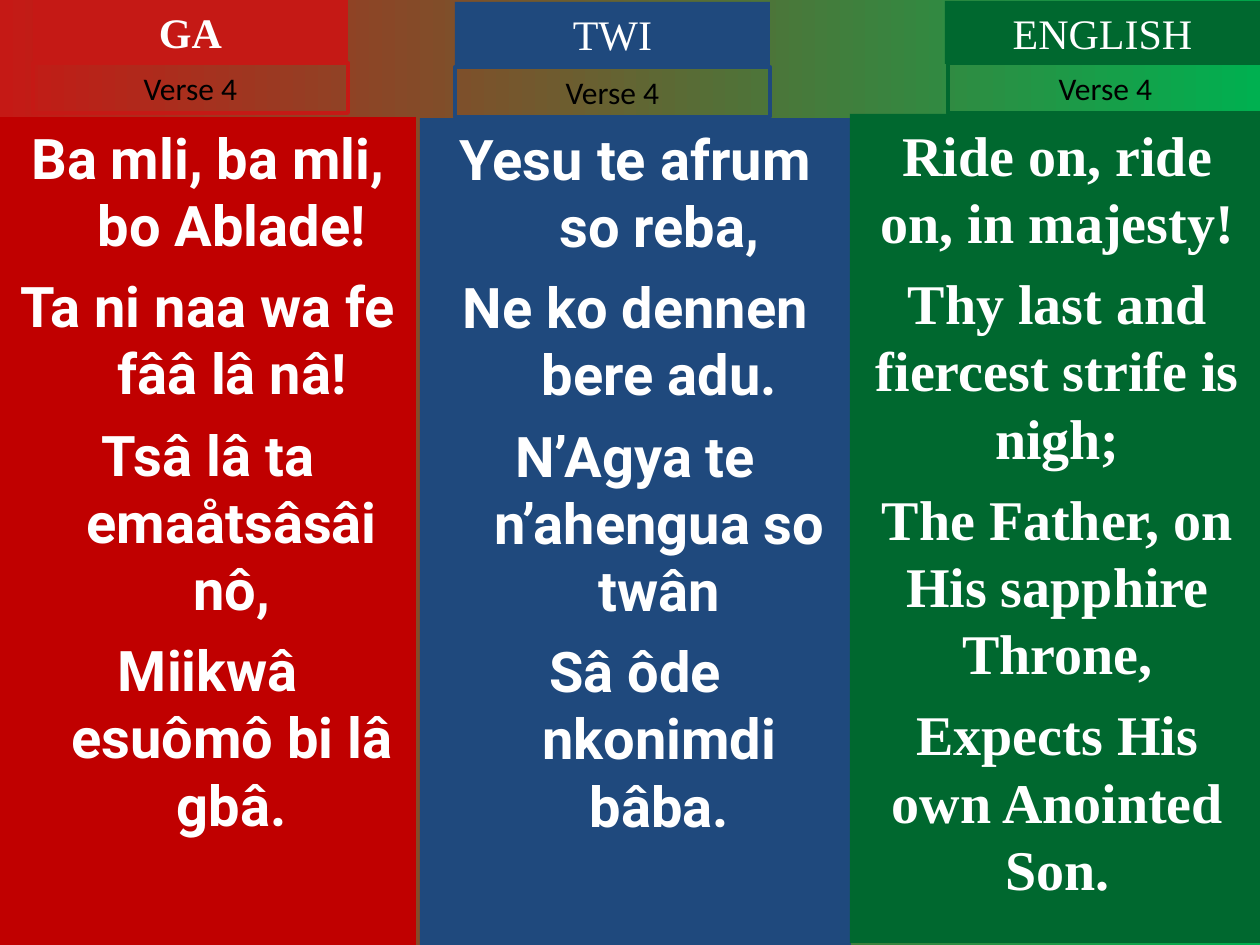
from pptx import Presentation
from pptx.dml.color import RGBColor
from pptx.enum.shapes import MSO_SHAPE
from pptx.enum.text import MSO_ANCHOR, PP_ALIGN
from pptx.util import Pt

RECTANGLE = MSO_SHAPE.RECTANGLE
TOP = MSO_ANCHOR.TOP
CENTER = PP_ALIGN.CENTER

PX = 914400 / 126
HANGING = 48
LABEL_WIDTH = 315

RED = RGBColor(0xC0, 0x00, 0x00)
BRIGHT_RED = RGBColor(0xC5, 0x19, 0x15)
BLUE = RGBColor(0x1F, 0x49, 0x7D)
GREEN = RGBColor(0x00, 0x68, 0x2F)
BRIGHT_GREEN = RGBColor(0x00, 0xB0, 0x50)
WHITE = RGBColor(0xFF, 0xFF, 0xFF)
BLACK = RGBColor(0x00, 0x00, 0x00)

SERIF = "Times New Roman"
SANS = "Roboto"
LABEL_FONT = "Calibri"

GA_LINES = [
    "Ba mli, ba mli, bo Ablade!",
    "Ta ni naa wa fe fââ lâ nâ!",
    "Tsâ lâ ta emaåtsâsâi nô,",
    "Miikwâ esuômô bi lâ gbâ.",
]
TWI_LINES = [
    "Yesu te afrum so reba,",
    "Ne ko dennen bere adu.",
    "N’Agya te n’ahengua so twân",
    "Sâ ôde nkonimdi bâba.",
]
ENGLISH_LINES = [
    "Ride on, ride on, in majesty!",
    "Thy last and fiercest strife is nigh;",
    "The Father, on His sapphire Throne,",
    "Expects His own Anointed Son.",
]


def px(length):
    return round(length * PX)


def paint_background(page):
    fill = page.background.fill
    fill.gradient()
    fill.gradient_angle = 0
    for stop, color in zip(fill.gradient_stops, (BRIGHT_RED, BRIGHT_GREEN)):
        stop.color.rgb = color
    fill.gradient_stops[0].position = 0
    fill.gradient_stops[1].position = 1


def add_box(page, area, fill=None, line=None):
    box = page.shapes.add_shape(RECTANGLE, *map(px, area))
    box.shadow.inherit = False
    if fill is None:
        box.fill.background()
    else:
        box.fill.solid()
        box.fill.fore_color.rgb = fill
    if line is None:
        box.line.fill.background()
    else:
        box.line.color.rgb = line
        box.line.width = Pt(2.25)
    box.text_frame.word_wrap = True
    box.text_frame.vertical_anchor = TOP
    return box


def write_lines(box, lines, font, size, color, bold=False, hanging=0):
    frame = box.text_frame
    for index, line in enumerate(lines):
        para = frame.paragraphs[0] if index == 0 else frame.add_paragraph()
        para.text = line
        para.alignment = CENTER
        if index:
            para.space_before = Pt(8)
        if hanging:
            properties = para._p.get_or_add_pPr()
            properties.set("marL", str(px(hanging)))
            properties.set("indent", str(-px(hanging)))
        para.font.name = font
        para.font.size = Pt(size)
        para.font.bold = bold
        para.font.color.rgb = color


def add_verse(page, area, fill, lines, font, hanging=0):
    box = add_box(page, area, fill=fill)
    write_lines(box, lines, font, 32, WHITE, bold=True, hanging=hanging)


def add_heading(page, left, top, color, language, bold=False):
    box = add_box(page, (left, top, LABEL_WIDTH, 63), fill=color)
    write_lines(box, [language], SERIF, 24, WHITE, bold=bold)


def add_verse_label(page, left, top, color):
    box = add_box(page, (left, top, LABEL_WIDTH, 50), line=color)
    write_lines(box, ["Verse 4"], LABEL_FONT, 18, BLACK)


def main():
    deck = Presentation()
    deck.slide_width, deck.slide_height = px(1260), px(945)
    page = deck.slides.add_slide(deck.slide_layouts[6])
    paint_background(page)

    add_verse(page, (0, 117, 416, 828), RED, GA_LINES, SANS, HANGING)
    add_verse(page, (420, 118, 431, 827), BLUE, TWI_LINES, SANS, HANGING)
    add_heading(page, 33, 0, BRIGHT_RED, "GA", bold=True)
    add_heading(page, 455, 2, BLUE, "TWI")
    add_verse_label(page, 33, 63, BRIGHT_RED)
    add_verse_label(page, 455, 67, BLUE)
    add_verse(page, (850, 114, 415, 829), GREEN, ENGLISH_LINES, SERIF)
    add_heading(page, 945, 1, GREEN, "ENGLISH")
    add_verse_label(page, 948, 63, GREEN)

    deck.save("out.pptx")


if __name__ == "__main__":
    main()
